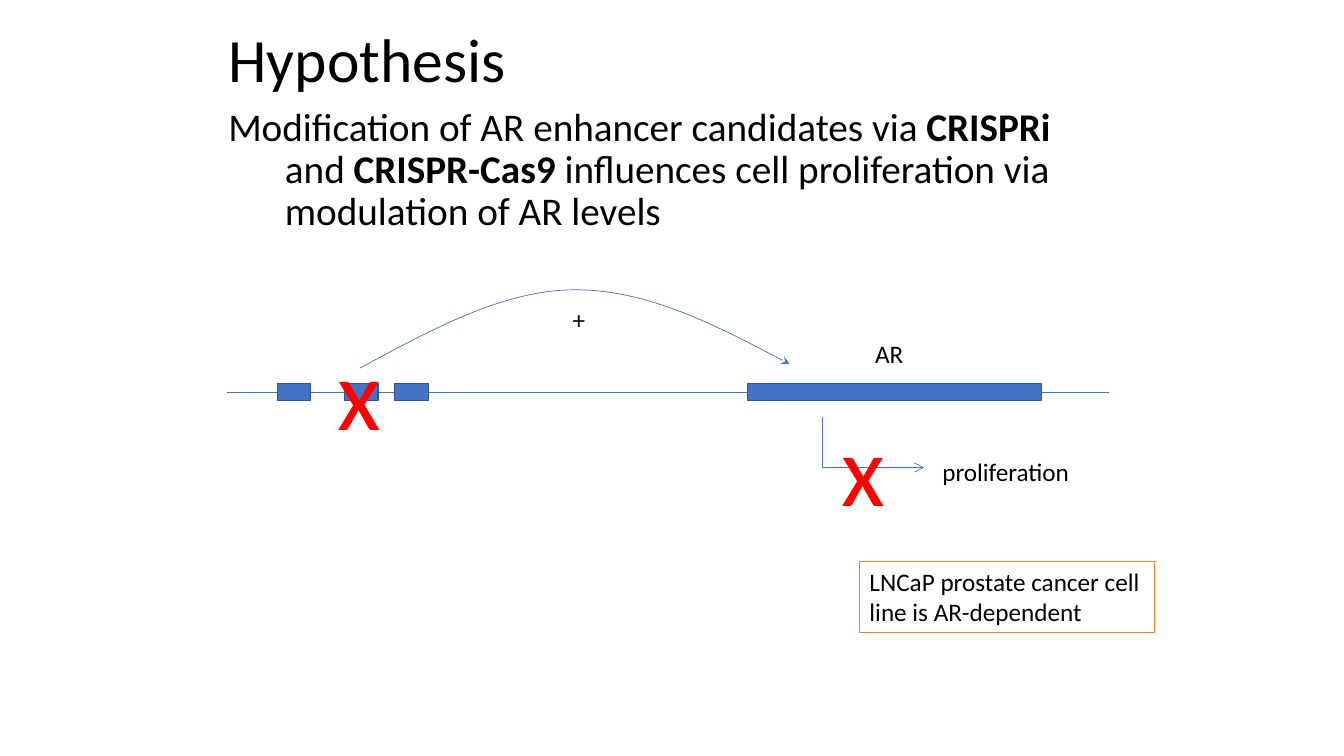
from lxml import etree
from pptx import Presentation
from pptx.dml.color import RGBColor
from pptx.enum.shapes import MSO_CONNECTOR, MSO_SHAPE
from pptx.enum.text import MSO_ANCHOR, MSO_AUTO_SIZE, PP_ALIGN
from pptx.oxml.ns import qn
from pptx.util import Pt

STRAIGHT, ELBOW = MSO_CONNECTOR.STRAIGHT, MSO_CONNECTOR.ELBOW
RECTANGLE = MSO_SHAPE.RECTANGLE
TOP, MIDDLE = MSO_ANCHOR.TOP, MSO_ANCHOR.MIDDLE
NO_FIT, GROW = MSO_AUTO_SIZE.NONE, MSO_AUTO_SIZE.SHAPE_TO_FIT_TEXT
LEFT = PP_ALIGN.LEFT
FONT = "Calibri"
COLORS = {"text": "000000", "gene": "4472C4", "gene_edge": "325491",
          "cross": "FF0000", "note_edge": "ED7D31"}


def rgb(name):
    """Return the named colour."""
    return RGBColor.from_string(COLORS[name])


def add_run(paragraph, text, size, color="text", bold=False):
    """Append one formatted run."""
    run = paragraph.add_run()
    run.text = text
    run.font.name, run.font.size, run.font.bold = FONT, Pt(size), bold
    run.font.color.rgb = rgb(color)


def add_label(slide, x, y, width, height, text, size=18, color="text"):
    """Place a one-line label that does not wrap."""
    label = slide.shapes.add_textbox(Pt(x), Pt(y), Pt(width), Pt(height))
    label.text_frame.word_wrap = False
    label.text_frame.auto_size = GROW
    add_run(label.text_frame.paragraphs[0], text, size, color)


def add_gene_block(slide, x, y, width):
    """Draw one stretch of the gene as a filled bar."""
    block = slide.shapes.add_shape(RECTANGLE, Pt(x), Pt(y), Pt(width), Pt(12))
    block.shadow.inherit = False
    block.fill.solid()
    block.fill.fore_color.rgb = rgb("gene")
    block.line.color.rgb = rgb("gene_edge")
    block.line.width = Pt(1)


def style_line(shape, head=None):
    """Give a line its thin blue stroke and an optional arrowhead."""
    shape.line.color.rgb = rgb("gene")
    shape.line.width = Pt(0.5)
    if head:
        stroke = shape._element.spPr.find(qn("a:ln"))
        etree.SubElement(stroke, qn("a:tailEnd"), type=head)


def add_line(slide, kind, x1, y1, x2, y2, head=None):
    """Draw a connector without a shadow."""
    line = slide.shapes.add_connector(kind, Pt(x1), Pt(y1), Pt(x2), Pt(y2))
    style_line(line, head)
    etree.SubElement(line._element.spPr, qn("a:effectLst"))
    return line


def add_curve(slide, points):
    """Draw a curved arrow through cubic Bezier control points."""
    builder = slide.shapes.build_freeform(*points[0], scale=Pt(1))
    builder.add_line_segments(points[1:], close=False)
    curve = builder.convert_to_shape()
    curve.shadow.inherit = False
    curve.fill.background()
    style_line(curve, "stealth")
    steps = list(curve._element.iter(qn("a:lnTo")))
    outline = steps[0].getparent()
    for start in range(0, len(steps), 3):
        bezier = etree.SubElement(outline, qn("a:cubicBezTo"))
        for step in steps[start:start + 3]:
            bezier.append(step[0])
            outline.remove(step)


def add_title(slide, x, y, width, height):
    """Move the title placeholder and fill it."""
    title = slide.shapes.title
    title.left, title.top, title.width, title.height = map(Pt, (x, y, width, height))
    frame = title.text_frame
    frame.vertical_anchor, frame.auto_size = MIDDLE, NO_FIT
    heading = frame.paragraphs[0]
    heading.alignment, heading.line_spacing = LEFT, 0.9
    add_run(heading, "Hypothesis", 44)


def add_statement(slide, x, y, width, height):
    """Write the hypothesis with a hanging indent."""
    statement = slide.shapes.add_textbox(Pt(x), Pt(y), Pt(width), Pt(height))
    statement.text_frame.word_wrap = True
    paragraph = statement.text_frame.paragraphs[0]
    paragraph.line_spacing, paragraph.space_before = 0.9, Pt(10)
    properties = paragraph._p.get_or_add_pPr()
    properties.set("marL", str(Pt(40.5)))
    properties.set("indent", str(-Pt(40.5)))
    for text, bold in (("Modification of AR enhancer candidates via ", False),
                       ("CRISPRi", True), (" and ", False), ("CRISPR-Cas9", True),
                       (" influences cell proliferation via modulation of AR levels", False)):
        add_run(paragraph, text, 28, bold=bold)


def add_pathway(slide, x, y, width):
    """Draw the enhancers, the AR gene and the blocked effects."""
    axis = y + 74
    add_line(slide, STRAIGHT, x, axis, x + width, axis)
    add_gene_block(slide, x + 372, axis - 6, 210)
    add_label(slide, x + 456, y + 32, 40, 29, "AR")
    effect = add_line(slide, ELBOW, x + 426, axis + 18, x + 498, axis + 54, "arrow")
    bend = effect._element.spPr.find(qn("a:prstGeom")).get_or_add_avLst()
    etree.SubElement(bend, qn("a:gd"), name="adj1", fmla="val -900")
    add_label(slide, x + 504, y + 116.4, 110, 29, "proliferation")
    for enhancer in (36, 84, 120):
        add_gene_block(slide, x + enhancer, axis - 6, 24)
    arc = ((95, 56.8), (147, 28.7), (198, 1.4), (249, 1.2),
           (300, 0.6), (351.4, 27.3), (402.5, 53.9))
    add_curve(slide, [(x + dx, y + dy) for dx, dy in arc])
    add_label(slide, x + 240, y + 8, 24, 29, "+")
    for dx, dy in ((72, 26), (432, 80)):
        add_label(slide, x + dx, y + dy, 46, 94, "x", 72, "cross")


def add_note(slide, x, y, width, height):
    """Frame the remark on the cell line."""
    note = slide.shapes.add_shape(RECTANGLE, Pt(x), Pt(y), Pt(width), Pt(height))
    note.shadow.inherit = False
    note.fill.background()
    note.line.color.rgb = rgb("note_edge")
    note.line.width = Pt(0.75)
    frame = note.text_frame
    frame.word_wrap, frame.auto_size, frame.vertical_anchor = False, GROW, TOP
    for index, text in enumerate(("LNCaP prostate cancer cell", "line is AR-dependent")):
        paragraph = frame.add_paragraph() if index else frame.paragraphs[0]
        paragraph.alignment = LEFT
        add_run(paragraph, text, 18)


def main():
    """Build the hypothesis slide and save it."""
    deck = Presentation()
    deck.slide_width, deck.slide_height = Pt(960), Pt(540)
    slide = deck.slides.add_slide(deck.slide_layouts[5])
    add_title(slide, 156, 0, 648, 90)
    add_statement(slide, 156, 73, 648, 356)
    add_pathway(slide, 162, 206, 630)
    add_note(slide, 614, 401, 211, 51)
    deck.save("out.pptx")


if __name__ == "__main__":
    main()
